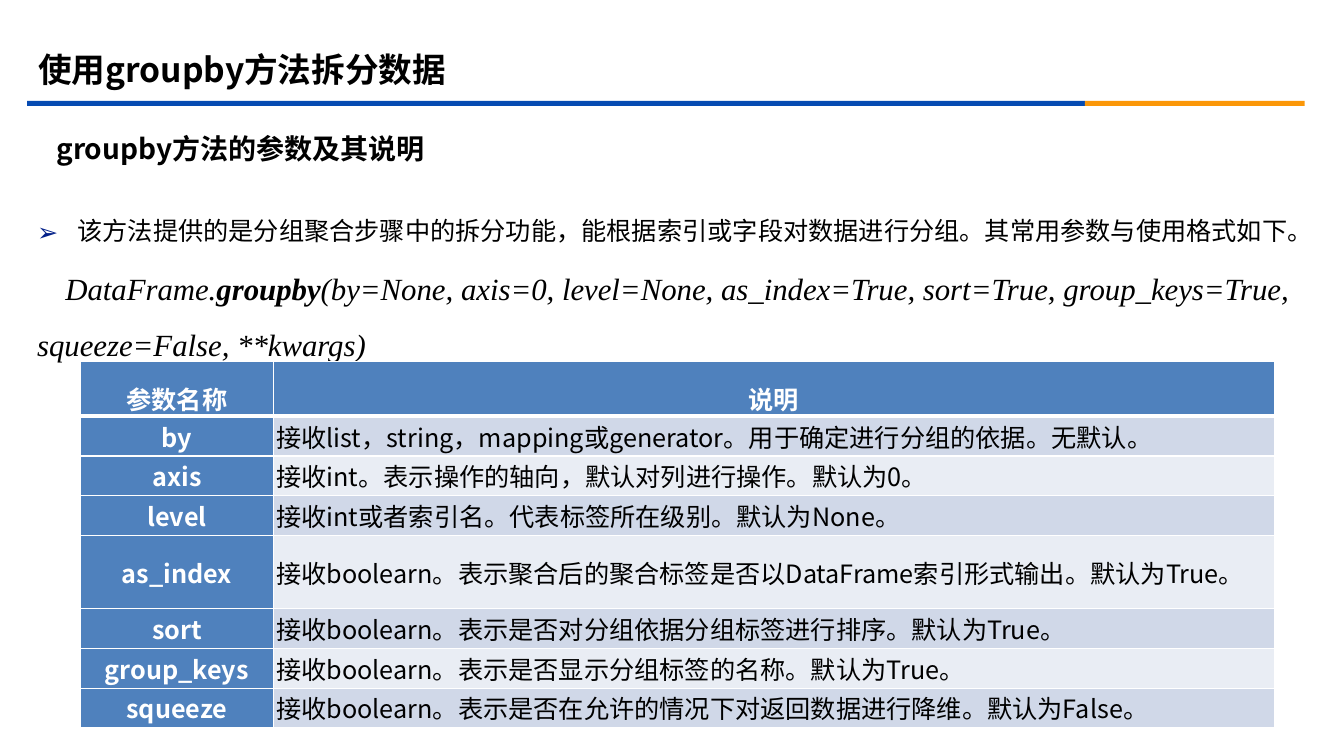
from dataclasses import dataclass

from lxml.etree import SubElement
from pptx import Presentation
from pptx.dml.color import RGBColor
from pptx.enum.shapes import MSO_SHAPE
from pptx.enum.text import MSO_ANCHOR, PP_ALIGN
from pptx.oxml.ns import qn
from pptx.util import Inches, Pt


@dataclass(frozen=True)
class Theme:
    font: str = "Noto Sans CJK SC"
    code_font: str = "Times New Roman"
    text: str = "000000"
    white: str = "FFFFFF"
    blue: str = "064BB2"
    orange: str = "FB9708"
    bullet: str = "032089"
    header: str = "4F81BD"
    bands: tuple = ("D0D8E8", "E9EDF4")
    title_size: int = 24
    subtitle_size: int = 20
    body_size: int = 18
    code_size: int = 22


THEME = Theme()

PARAMETERS = [
    ("参数名称", "说明"),
    ("by", "接收list，string，mapping或generator。用于确定进行分组的依据。无默认。"),
    ("axis", "接收int。表示操作的轴向，默认对列进行操作。默认为0。"),
    ("level", "接收int或者索引名。代表标签所在级别。默认为None。"),
    ("as_index", "接收boolearn。表示聚合后的聚合标签是否以DataFrame索引形式输出。默认为True。"),
    ("sort", "接收boolearn。表示是否对分组依据分组标签进行排序。默认为True。"),
    ("group_keys", "接收boolearn。表示是否显示分组标签的名称。默认为True。"),
    ("squeeze", "接收boolearn。表示是否在允许的情况下对返回数据进行降维。默认为False。"),
]
TALL_ROWS = {0: 0.54, 4: 0.73}  # header with wide line spacing, two-line as_index


def set_font(p, size, color=THEME.text, bold=False, italic=False, name=THEME.font):
    """Style a whole paragraph, for Latin and East Asian text alike."""
    f = p.font
    f.size, f.bold, f.italic, f.name = Pt(size), bold, italic, name
    f.color.rgb = RGBColor.from_string(color)
    props = p._p.pPr.find(qn("a:defRPr"))
    SubElement(props, qn("a:ea"), typeface=name)


def add_text_frame(s, x, y, w, h, anchor=MSO_ANCHOR.TOP):
    tf = s.shapes.add_textbox(Inches(x), Inches(y), Inches(w), Inches(h)).text_frame
    tf.word_wrap = True
    tf.vertical_anchor = anchor
    return tf


def add_heading(s, x, y, w, h, text, size):
    p = add_text_frame(s, x, y, w, h, MSO_ANCHOR.MIDDLE).paragraphs[0]
    p.text = text
    set_font(p, size, bold=True)


def add_rule(s, x, y, w, h, blue_width):
    """Draw the two-coloured line below the title."""
    parts = [(x, blue_width, THEME.blue),
             (x + blue_width, w - blue_width, THEME.orange)]
    for left, width, color in parts:
        bar = s.shapes.add_shape(MSO_SHAPE.RECTANGLE, Inches(left), Inches(y),
                                 Inches(width), Inches(h))
        bar.shadow.inherit = False
        bar.fill.solid()
        bar.fill.fore_color.rgb = RGBColor.from_string(color)
        bar.line.fill.background()


def add_arrow_bullet(p, indent):
    props = p._p.get_or_add_pPr()
    props.set("marL", str(Inches(indent)))
    props.set("indent", str(-Inches(indent)))
    color = SubElement(props, qn("a:buClr"))
    SubElement(color, qn("a:srgbClr"), val=THEME.bullet)
    SubElement(props, qn("a:buFont"), typeface=THEME.font)
    SubElement(props, qn("a:buChar"), char="➢")


def add_introduction(s, x, y, w, h):
    tf = add_text_frame(s, x, y, w, h)
    p = tf.paragraphs[0]
    p.text = "该方法提供的是分组聚合步骤中的拆分功能，能根据索引或字段对数据进行分组。其常用参数与使用格式如下。"
    p.line_spacing = 1.5
    add_arrow_bullet(p, 0.4)
    set_font(p, THEME.body_size)

    p = tf.add_paragraph()
    p.line_spacing = 1.5
    p.space_before = Pt(4)
    p._p.get_or_add_pPr().set("indent", str(Inches(0.28)))
    set_font(p, THEME.code_size, italic=True, name=THEME.code_font)
    p.add_run().text = "DataFrame."
    method = p.add_run()
    method.text = "groupby"
    method.font.bold = True
    p.add_run().text = ("(by=None, axis=0, level=None, as_index=True, sort=True, "
                        "group_keys=True, squeeze=False, **kwargs)")


def set_borders(cell, bottom_width):
    props = cell._tc.get_or_add_tcPr()
    for side, width in (("L", 1), ("R", 1), ("T", 1), ("B", bottom_width)):
        line = SubElement(props, qn(f"a:ln{side}"), w=str(Pt(width)))
        fill = SubElement(line, qn("a:solidFill"))
        SubElement(fill, qn("a:srgbClr"), val=THEME.white)


def fill_cell(cell, text, row, col):
    is_header = row == 0 or col == 0
    set_borders(cell, 3 if row == 0 else 1)
    cell.fill.solid()
    color = THEME.header if is_header else THEME.bands[(row - 1) % 2]
    cell.fill.fore_color.rgb = RGBColor.from_string(color)
    cell.margin_left = cell.margin_right = Inches(0.03)
    cell.margin_top = cell.margin_bottom = 0
    cell.vertical_anchor = MSO_ANCHOR.MIDDLE
    p = cell.text_frame.paragraphs[0]
    p.text = text
    p.alignment = PP_ALIGN.CENTER if is_header else PP_ALIGN.JUSTIFY
    if row == 0:
        p.line_spacing = 1.5
    set_font(p, THEME.body_size, THEME.white if is_header else THEME.text, is_header)


def add_parameter_table(s, x, y, w, h, name_width):
    count = len(PARAMETERS)
    table = s.shapes.add_table(count, 2, Inches(x), Inches(y),
                               Inches(w), Inches(h)).table
    table.horz_banding = False
    table.columns[0].width = Inches(name_width)
    table.columns[1].width = Inches(w - name_width)
    row_height = (h - sum(TALL_ROWS.values())) / (count - len(TALL_ROWS))
    for row, texts in enumerate(PARAMETERS):
        table.rows[row].height = Inches(TALL_ROWS.get(row, row_height))
        for col, text in enumerate(texts):
            fill_cell(table.cell(row, col), text, row, col)


def add_groupby_slide(prs):
    s = prs.slides.add_slide(prs.slide_layouts[6])
    add_rule(s, 0.27, 1, 12.67, 0.05, blue_width=10.49)
    add_introduction(s, 0.27, 1.94, 12.87, 4.78)
    add_heading(s, 0.28, 0.39, 12, 0.58, "使用groupby方法拆分数据", THEME.title_size)
    add_heading(s, 0.46, 1.24, 12.15, 0.47, "groupby方法的参数及其说明", THEME.subtitle_size)
    add_parameter_table(s, 0.8, 3.59, 11.84, 3.63, name_width=1.91)


def main():
    prs = Presentation()
    prs.slide_width, prs.slide_height = Inches(13.33), Inches(7.5)
    add_groupby_slide(prs)
    prs.save("out.pptx")


if __name__ == "__main__":
    main()
